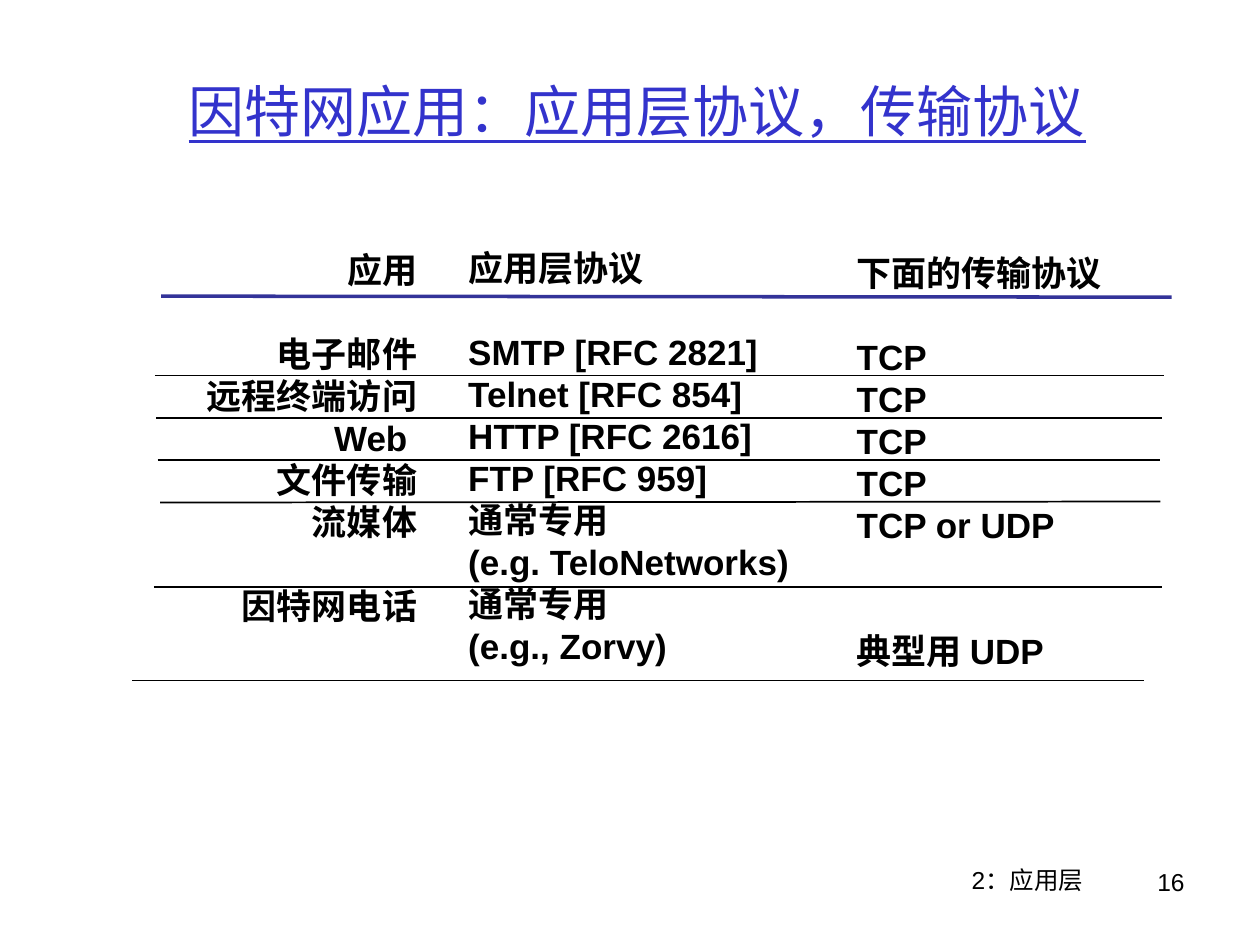
"""Build a slide that lists internet applications with their protocols."""
import pptx
import pptx.dml.color
import pptx.enum.shapes
import pptx.enum.text
import pptx.oxml.ns
import pptx.util
from lxml import etree
from pptx.util import Cm

ALIGN = pptx.enum.text.PP_ALIGN
ANCHOR = pptx.enum.text.MSO_ANCHOR

COLUMNS = [
    ((3.78, 4.88, 4.88, 8.74), ALIGN.RIGHT,
     [("应用", 0), ("电子邮件", 1), ("远程终端访问", 0), ("Web ", 0),
      ("文件传输", 0), ("流媒体", 0), ("因特网电话", 1)]),
    ((9.19, 4.85, 7.09, 8.74), ALIGN.LEFT,
     [("应用层协议", 0), ("SMTP [RFC 2821]", 1), ("Telnet [RFC 854]", 0),
      ("HTTP [RFC 2616]", 0), ("FTP [RFC 959]", 0), ("通常专用", 0),
      ("(e.g. TeloNetworks)", 0), ("通常专用", 0), ("(e.g., Zorvy)", 0)]),
    ((17.02, 4.95, 7.29, 8.74), ALIGN.LEFT,
     [("下面的传输协议", 0), ("TCP", 1), ("TCP", 0), ("TCP", 0), ("TCP", 0),
      ("TCP or UDP", 0), ("典型用 UDP", 2)]),
]

ROW_RULES = [
    (3.12, 7.57, 23.47, 7.57),
    (3.15, 8.43, 23.42, 8.43),
    (3.18, 9.27, 23.39, 9.27),
    (3.23, 10.13, 23.39, 10.11),
    (3.10, 11.84, 23.42, 11.84),
    (2.67, 13.72, 23.06, 13.72),
]


def color(value):
    return pptx.dml.color.RGBColor.from_string(value)


def write(paragraph, text, *, size, font="Arial", fill="000000", bold=False,
          underline=False, align=ALIGN.LEFT, line=None, before=0):
    paragraph.alignment = align
    paragraph.space_before = pptx.util.Pt(before)
    if line:
        paragraph.line_spacing = pptx.util.Pt(line)
    run = paragraph.add_run()
    run.text = text
    run.font.name = font
    run.font.size = pptx.util.Pt(size)
    run.font.bold = bold
    run.font.underline = underline
    run.font.color.rgb = color(fill)


class SlideBuilder:
    """Hold the text style and the current slide."""

    row_size = 20
    row_height = 24
    footer_size = 14

    def __init__(self, slide):
        self.slide = slide

    def title(self, text, box):
        shape = self.slide.shapes.title
        shape.left, shape.top, shape.width, shape.height = map(Cm, box)
        frame = shape.text_frame
        frame.auto_size = pptx.enum.text.MSO_AUTO_SIZE.NONE
        frame.vertical_anchor = ANCHOR.MIDDLE
        write(frame.paragraphs[0], text, size=32, font="Comic Neue",
              fill="3333CC", underline=True, align=ALIGN.CENTER)

    def text_box(self, box):
        frame = self.slide.shapes.add_textbox(*map(Cm, box)).text_frame
        frame.word_wrap = True
        return frame

    def footer(self, text, box, align):
        frame = self.text_box(box)
        write(frame.paragraphs[0], text, size=self.footer_size, align=align)

    def column(self, rows, box, align):
        frame = self.text_box(box)
        for index, (text, skipped) in enumerate(rows):
            paragraph = frame.add_paragraph() if index else frame.paragraphs[0]
            write(paragraph, text, size=self.row_size, bold=True, align=align,
                  line=self.row_height, before=skipped * self.row_height)

    def rule(self, ends, fill="000000", width=1):
        connector = self.slide.shapes.add_connector(
            pptx.enum.shapes.MSO_CONNECTOR.STRAIGHT, *map(Cm, ends))
        connector.line.color.rgb = color(fill)
        connector.line.width = pptx.util.Pt(width)
        properties = connector._element.spPr
        etree.SubElement(properties, pptx.oxml.ns.qn("a:effectLst"))


def main():
    presentation = pptx.Presentation()
    presentation.slide_width = Cm(25.4)
    presentation.slide_height = Cm(19.05)
    slide = presentation.slides.add_slide(presentation.slide_layouts[5])
    builder = SlideBuilder(slide)

    builder.footer("2：应用层", (16.69, 17.32, 8.05, 1.32), ALIGN.CENTER)
    builder.footer("16", (21.89, 17.35, 2.24, 1.32), ALIGN.RIGHT)
    builder.title("因特网应用：应用层协议，传输协议", (0.69, 0.64, 24.31, 3.18))
    for box, align, rows in COLUMNS:
        builder.column(rows, box, align)
    builder.rule((3.25, 5.97, 23.62, 5.99), fill="333399", width=2)
    for ends in ROW_RULES:
        builder.rule(ends)

    presentation.save("out.pptx")


if __name__ == "__main__":
    main()
